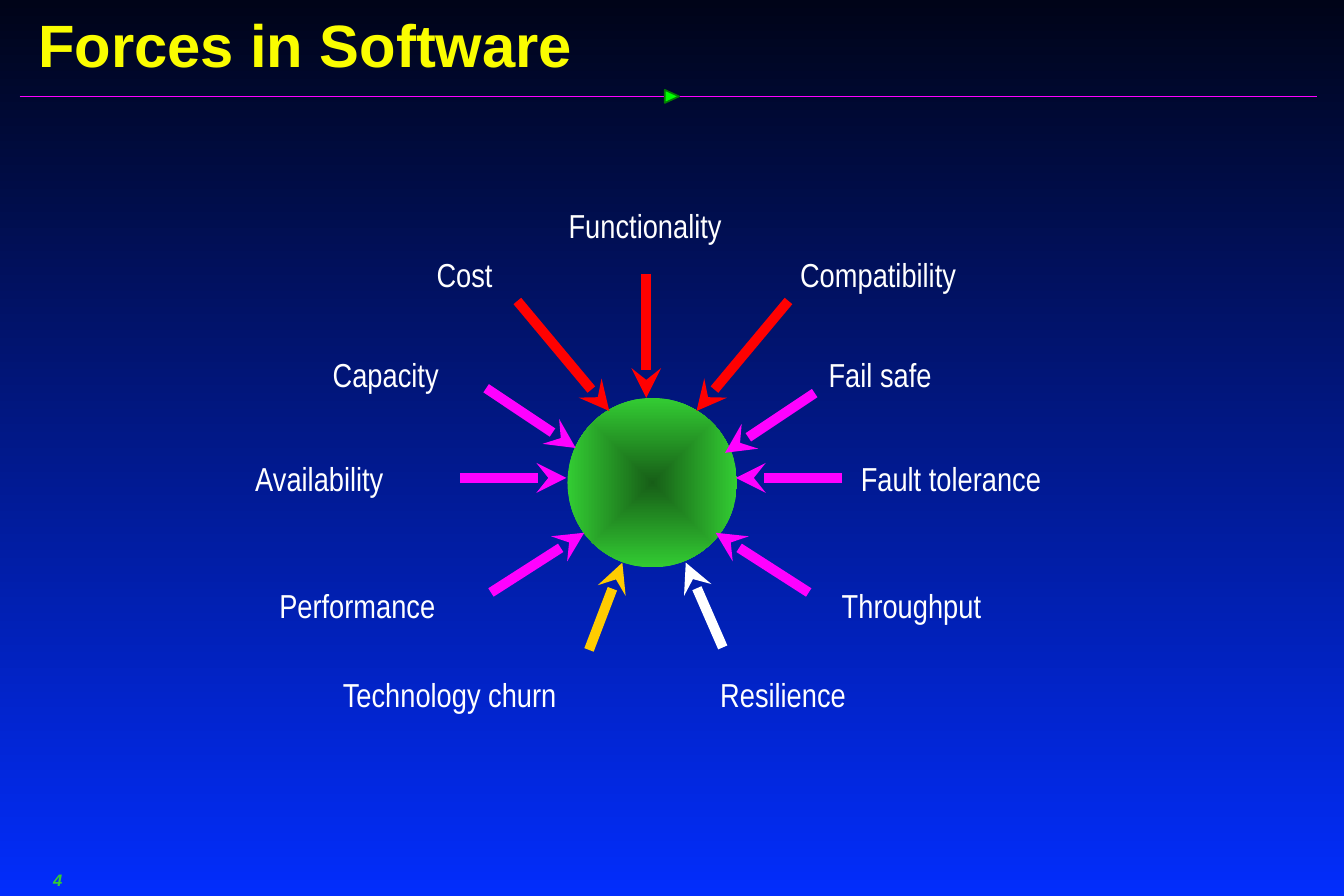
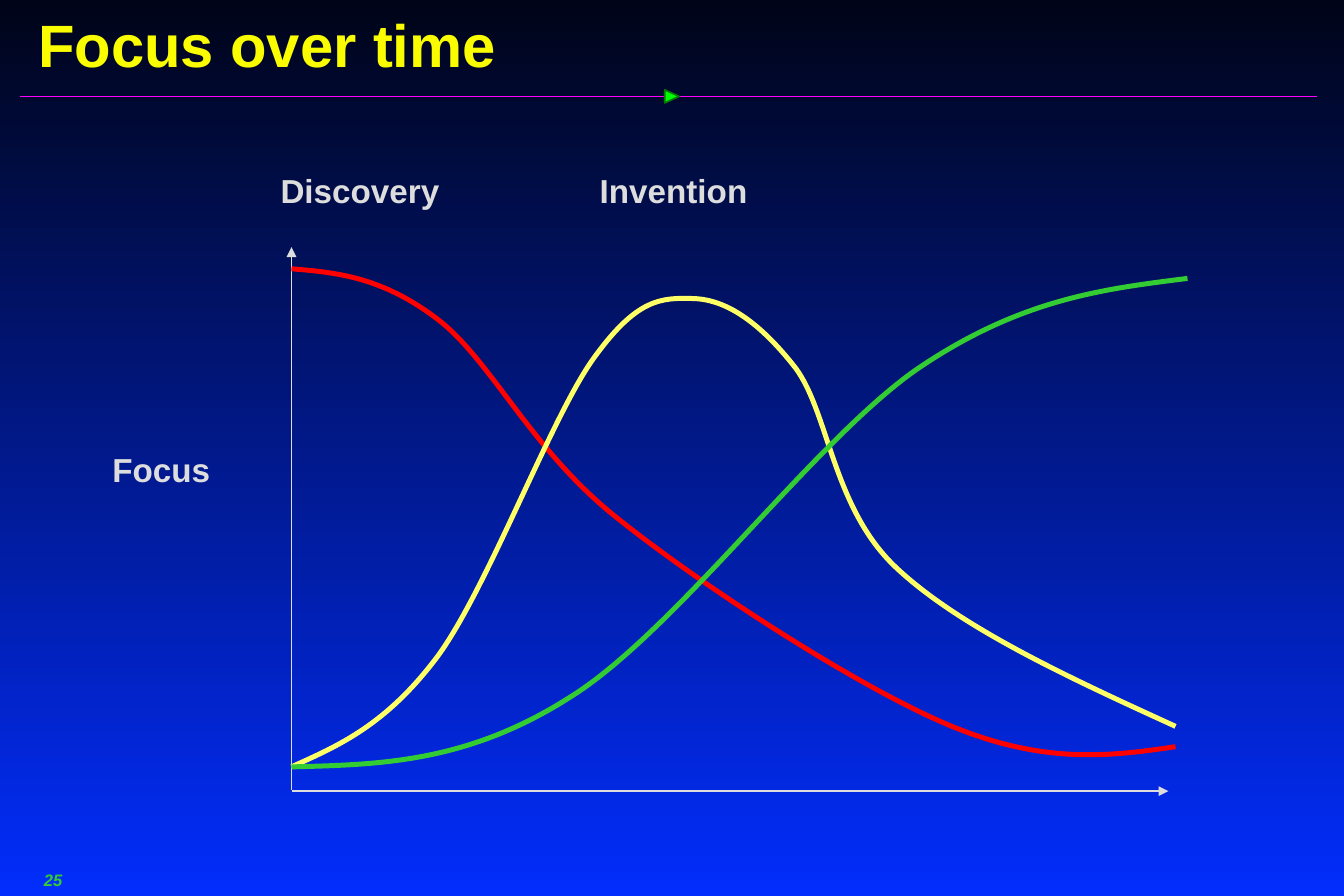
"""Build two slides on software forces and on focus over time."""
from dataclasses import dataclass

from lxml.etree import SubElement
from pptx import Presentation
from pptx.dml.color import RGBColor
from pptx.enum.shapes import MSO_CONNECTOR, MSO_SHAPE
from pptx.enum.text import MSO_ANCHOR, MSO_AUTO_SIZE, PP_ALIGN
from pptx.oxml import parse_xml
from pptx.oxml.ns import nsdecls, qn
from pptx.util import Pt

COLORS = {
    "night": "000418", "blue": "022DFC", "title": "FAFD00",
    "magenta": "FF01FF", "marker": "00FF00", "marker_edge": "037C03",
    "green": "33CC33", "dark_green": "175E17", "white": "FFFFFF",
    "gold": "FFCC00", "force_red": "FF0101", "gray": "DDDDDD",
    "red": "FF0000", "yellow": "FFFF66",
}
FONTS = {
    "title": {"name": "Arial", "size": Pt(36), "bold": True, "italic": False},
    "number": {"name": "Arial", "size": Pt(10), "bold": True, "italic": True},
    "force": {"name": "Arial Narrow", "size": Pt(20), "bold": False},
    "phase": {"name": "Arial", "size": Pt(20), "bold": True},
}
FRAMES = {
    "number": {"word_wrap": False, "auto_size": MSO_AUTO_SIZE.SHAPE_TO_FIT_TEXT},
    "force": {"word_wrap": True, "auto_size": MSO_AUTO_SIZE.SHAPE_TO_FIT_TEXT,
              "margin_left": Pt(7.92), "margin_right": Pt(0)},
    "phase": {"word_wrap": True, "auto_size": MSO_AUTO_SIZE.SHAPE_TO_FIT_TEXT},
    "title": {"word_wrap": True, "auto_size": MSO_AUTO_SIZE.NONE,
              "vertical_anchor": MSO_ANCHOR.MIDDLE, "margin_left": Pt(7.2),
              "margin_right": Pt(7.2), "margin_top": Pt(3.6), "margin_bottom": Pt(3.6)},
}
PARAGRAPHS = {
    "title": {"alignment": PP_ALIGN.LEFT, "line_spacing": 0.75},
    "number": {"alignment": PP_ALIGN.RIGHT},
    "force": {"alignment": PP_ALIGN.LEFT},
    "phase": {"alignment": PP_ALIGN.LEFT, "line_spacing": 0.89},
}
TEXT_COLORS = {"title": "title", "number": "green", "force": "white", "phase": "gray"}

Point = tuple[float, float]
Box = tuple[float, float, float, float]


@dataclass(frozen=True)
class Force:
    """A labelled arrow pressing on the software."""
    text: str
    left: float
    top: float
    width: float
    start: Point
    end: Point
    color: str


@dataclass(frozen=True)
class Curve:
    """A chain of cubic curves: a start point, then three points per section."""
    color: str
    points: tuple[Point, ...]


FORCES = (
    Force("Technology churn", 198.7, 402.9, 152, (355, 391.7), (375.1, 339.1), "gold"),
    Force("Performance", 160.4, 349, 115, (295.9, 357.1), (352.1, 321.1), "magenta"),
    Force("Throughput", 499.4, 349, 105, (487.4, 357.1), (431.3, 321.1), "magenta"),
    Force("Capacity", 192.6, 210, 85, (293, 234), (347, 270), "magenta"),
    Force("Availability", 145.9, 272.5, 99, (277.2, 288), (341.3, 288), "magenta"),
    Force("Fail safe", 491.5, 210, 83, (491, 236.9), (437, 272.9), "magenta"),
    Force("Fault tolerance", 510.9, 272.5, 130, (507.6, 288), (443.5, 288), "magenta"),
    Force("Functionality", 334.8, 120.2, 113, (389.5, 164.9), (389.5, 239.8), "force_red"),
    Force("Cost", 255.2, 149.8, 55, (311.8, 181.4), (367.2, 247.7), "force_red"),
    Force("Compatibility", 474.3, 149.8, 115, (475.2, 181.4), (419.8, 247.7), "force_red"),
    Force("Resilience", 426.2, 402.9, 97, (435.6, 390.2), (413.3, 339.1), "white"),
)
CURVES = (
    Curve("red", (
        (175.7, 162), (203, 164.2), (230.4, 167), (263.5, 192.2),
        (295.9, 216.7), (319.7, 270.7), (371.5, 311.8),
        (422.6, 352.8), (517.7, 414.7), (573.8, 437.8),
        (630, 460.8), (669.6, 455.8), (708.5, 450))),
    Curve("yellow", (
        (175.7, 462.2), (204.5, 449.3), (232.6, 437), (263.5, 396),
        (293.8, 355), (331.9, 252), (357.8, 216),
        (383.8, 180), (398.2, 179.3), (418.3, 180),
        (438.5, 180.7), (458.6, 195.1), (479.5, 221.8),
        (499.7, 249.1), (501.8, 306), (540, 342),
        (578.2, 378), (643.7, 408.2), (708.5, 437.8))),
    Curve("green", (
        (175.7, 462.2), (228.2, 460.8), (281.5, 460.1), (344.2, 419.8),
        (407.5, 380.2), (491.8, 264.2), (553.7, 221.8),
        (615.6, 180), (665.3, 174.2), (715.7, 167.8))),
)
PHASES = (("Discovery", 162, 102.2), ("Invention", 354.4, 102.2), ("Focus", 60.7, 270))
AXES = (((175.7, 476), (175.7, 149)), ((175.7, 476.8), (704.2, 476.8)))


def rgb(name: str) -> RGBColor:
    """Look up a colour by name."""
    return RGBColor.from_string(COLORS[name])


def set_values(target, values: dict) -> None:
    """Set each named attribute of the target."""
    for name, value in values.items():
        setattr(target, name, value)


def fill_gradient(fill, first: str, last: str) -> None:
    """Fill with a two-colour gradient running downwards."""
    fill.gradient()
    fill.gradient_angle = 270
    for stop, color in zip(fill.gradient_stops, (first, last)):
        stop.color.rgb = rgb(color)


def write_text(shape, text: str, style: str) -> None:
    """Write one paragraph in a named style."""
    frame = shape.text_frame
    frame.text = text
    set_values(frame, FRAMES[style])
    paragraph = frame.paragraphs[0]
    set_values(paragraph, PARAGRAPHS[style])
    font = paragraph.runs[0].font
    set_values(font, FONTS[style])
    font.color.rgb = rgb(TEXT_COLORS[style])


def add_text(slide, text: str, box: Box, style: str) -> None:
    """Add a text box in a named style."""
    write_text(slide.shapes.add_textbox(*map(Pt, box)), text, style)


def add_line(slide, start: Point, end: Point, color: str, width: float, head: str = "") -> None:
    """Add a straight line, with an arrowhead at its end if one is named."""
    connector = slide.shapes.add_connector(
        MSO_CONNECTOR.STRAIGHT, *map(Pt, (*start, *end)))
    connector.line.color.rgb = rgb(color)
    connector.line.width = Pt(width)
    properties = connector.element.spPr
    if head:
        SubElement(properties.find(qn("a:ln")), qn("a:tailEnd"), type=head)
    SubElement(properties, qn("a:effectLst"))


def add_curve(slide, curve: Curve) -> None:
    """Draw a chain of cubic curves as an open outline."""
    builder = slide.shapes.build_freeform(*map(Pt, curve.points[0]))
    builder.add_line_segments(
        [tuple(map(Pt, point)) for point in curve.points[1:]], close=False)
    shape = builder.convert_to_shape()
    outline = shape.element.spPr.find(".//" + qn("a:path"))
    segments = outline.findall(qn("a:lnTo"))
    for index in range(0, len(segments), 3):
        section = SubElement(outline, qn("a:cubicBezTo"))
        for segment in segments[index:index + 3]:
            section.append(segment[0])
            outline.remove(segment)
    shape.shadow.inherit = False
    shape.fill.background()
    shape.line.color.rgb = rgb(curve.color)
    shape.line.width = Pt(3)


def add_slide(presentation, title: str, number: str):
    """Add a slide with its title, divider and number."""
    slide = presentation.slides.add_slide(presentation.slide_layouts[5])
    placeholder = slide.shapes.title
    set_values(placeholder, {"left": Pt(15.8), "top": Pt(10.1),
                             "width": Pt(780.5), "height": Pt(41.8)})
    write_text(placeholder, title, "title")
    add_line(slide, (11.8, 58.1), (793.7, 58.1), "magenta", 1)
    marker = slide.shapes.add_shape(
        MSO_SHAPE.ISOSCELES_TRIANGLE, *map(Pt, (401, 53.8, 7.9, 8.6)))
    marker.rotation = 90
    marker.shadow.inherit = False
    marker.fill.solid()
    marker.fill.fore_color.rgb = rgb("marker")
    marker.line.color.rgb = rgb("marker_edge")
    marker.line.width = Pt(1)
    add_text(slide, number, (0, 520.9, 44.6, 18.7), "number")
    return slide


def add_software_ball(slide) -> None:
    """Add the ball with a gradient spreading from its centre."""
    ball = slide.shapes.add_shape(MSO_SHAPE.OVAL, *map(Pt, (342, 239.8, 102.2, 102.2)))
    ball.shadow.inherit = False
    ball.line.fill.background()
    fill_gradient(ball.fill, "dark_green", "green")
    linear = ball.element.spPr.find(".//" + qn("a:lin"))
    linear.getparent().replace(linear, parse_xml(
        f'<a:path {nsdecls("a")} path="rect">'
        '<a:fillToRect l="50000" t="50000" r="50000" b="50000"/></a:path>'))


def build_forces(presentation) -> None:
    """Build the slide of forces around the software."""
    slide = add_slide(presentation, "Forces in Software", "4")
    add_software_ball(slide)
    for force in FORCES:
        add_text(slide, force.text, (force.left, force.top, force.width, 31.7), "force")
        add_line(slide, force.start, force.end, force.color, 6, "stealth")


def build_focus(presentation) -> None:
    """Build the slide of focus curves over time."""
    slide = add_slide(presentation, "Focus over time", "25")
    for start, end in AXES:
        add_line(slide, start, end, "gray", 1, "triangle")
    for text, left, top in PHASES:
        add_text(slide, text, (left, top, 155.5, 28.8), "phase")
    for curve in CURVES:
        add_curve(slide, curve)


def main() -> None:
    """Build and save the presentation."""
    presentation = Presentation()
    presentation.slide_width = Pt(810)
    presentation.slide_height = Pt(540)
    fill_gradient(presentation.slide_master.background.fill, "night", "blue")
    build_forces(presentation)
    build_focus(presentation)
    presentation.save("out.pptx")


if __name__ == "__main__":
    main()
